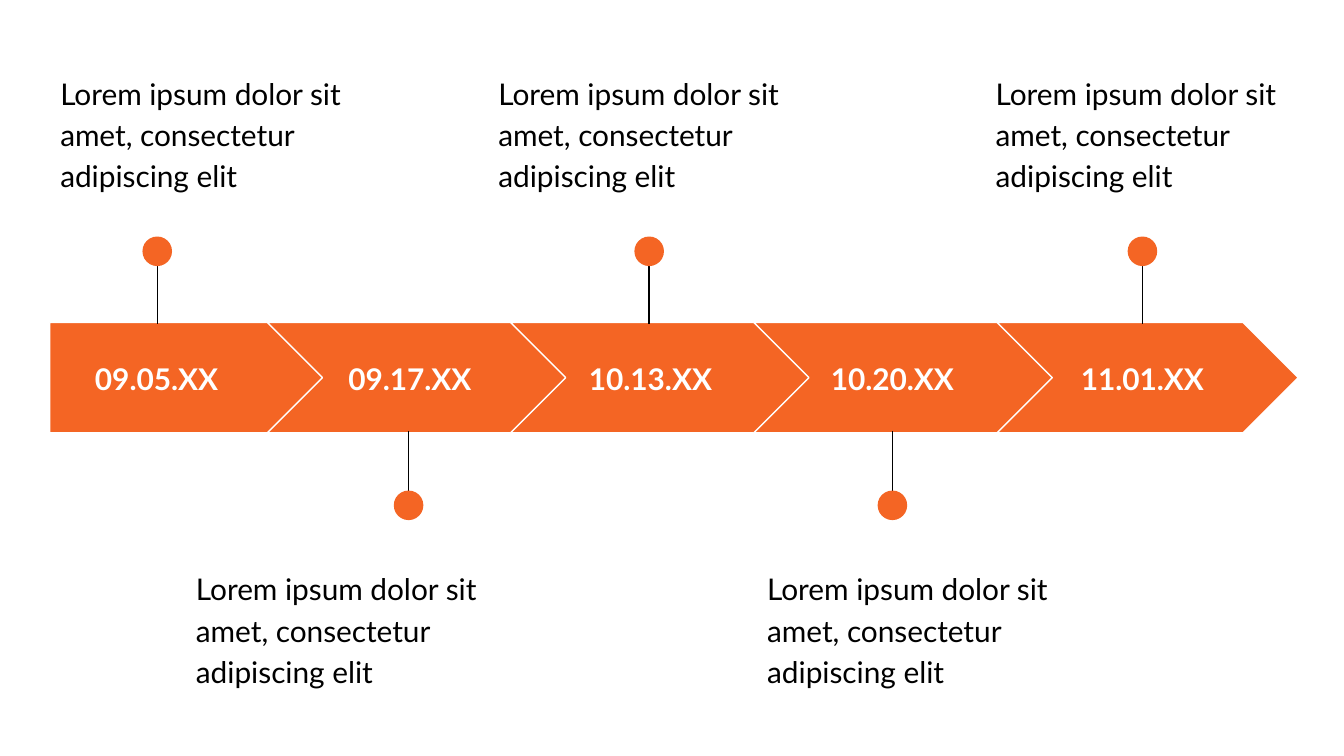
from lxml.etree import SubElement
from pptx import Presentation
from pptx.dml.color import RGBColor
from pptx.enum.shapes import MSO_CONNECTOR, MSO_SHAPE
from pptx.enum.text import MSO_ANCHOR, PP_ALIGN
from pptx.oxml.ns import qn
from pptx.util import Inches, Pt

ORANGE, WHITE, BLACK = "F46524", "FFFFFF", "000000"
CAPTION = "Lorem ipsum dolor sit amet, consectetur adipiscing elit"

BAND_TOP, BAND_HEIGHT = 2.4, 0.82
FIRST_LEFT, FIRST_WIDTH = 0.37, 2.05
CHEVRON_LEFT, CHEVRON_WIDTH, CHEVRON_STEP = 1.99, 2.24, 1.81
DOT_SIZE = 0.22

# date, left and width of the date box, pin centre, left of the caption
MILESTONES = [
    ("09.05.XX", 0.37, 1.59, 1.17, 0.35),
    ("09.17.XX", 2.33, 1.44, 3.04, 1.36),
    ("10.13.XX", 4.12, 1.44, 4.83, 3.61),
    ("10.20.XX", 5.92, 1.44, 6.64, 5.61),
    ("11.01.XX", 7.78, 1.44, 8.5, 7.31),
]

DATE_FORMAT = {"alignment": PP_ALIGN.CENTER}
CAPTION_FORMAT = {"alignment": PP_ALIGN.LEFT, "line_spacing": 1.15, "space_after": Pt(16)}

# line start, line end, top of the dot, top of the caption
ABOVE = (1.8, 2.41, 1.76, 0.42)
BELOW = (3.82, 3.21, 3.65, 4.11)


def color(hex_value):
    return RGBColor.from_string(hex_value)


def add_filled_shape(shapes, kind, left, top, width, height, outline=None):
    shape = shapes.add_shape(kind, Inches(left), Inches(top), Inches(width), Inches(height))
    shape.shadow.inherit = False
    shape.fill.solid()
    shape.fill.fore_color.rgb = color(ORANGE)
    if outline:
        shape.line.color.rgb = color(outline)
        shape.line.width = Pt(0.75)
    else:
        shape.line.fill.background()
    return shape


def add_arrow(slide, index):
    """Add one segment of the band: a pentagon first, then chevrons."""
    if index == 0:
        kind, left, width = MSO_SHAPE.PENTAGON, FIRST_LEFT, FIRST_WIDTH
    else:
        kind, width = MSO_SHAPE.CHEVRON, CHEVRON_WIDTH
        left = CHEVRON_LEFT + (index - 1) * CHEVRON_STEP
    arrow = add_filled_shape(slide.shapes, kind, left, BAND_TOP, width, BAND_HEIGHT, WHITE)
    arrow.adjustments[0] = 0.5


def add_text(slide, text, left, top, width, height, paragraph_format,
             text_color, bold=False, anchor=MSO_ANCHOR.TOP):
    box = slide.shapes.add_textbox(Inches(left), Inches(top), Inches(width), Inches(height))
    frame = box.text_frame
    frame.word_wrap = True
    frame.vertical_anchor = anchor
    for side in ("left", "top", "right", "bottom"):
        setattr(frame, f"margin_{side}", Inches(0.1))
    paragraph = frame.paragraphs[0]
    for name, value in paragraph_format.items():
        setattr(paragraph, name, value)
    run = paragraph.add_run()
    run.text = text
    for name, value in {"name": "Lato", "size": Pt(16), "bold": bold}.items():
        setattr(run.font, name, value)
    run.font.color.rgb = color(text_color)


def add_pin(slide, center, line_start, line_end, dot_top):
    """Add a grouped line and dot that tie a caption to the band."""
    pin = slide.shapes.add_group_shape()
    line = pin.shapes.add_connector(
        MSO_CONNECTOR.STRAIGHT,
        Inches(center), Inches(line_start), Inches(center), Inches(line_end))
    line.line.color.rgb = color(BLACK)
    line.line.width = Pt(0.75)
    SubElement(line._element.spPr, qn("a:effectLst"))
    add_filled_shape(pin.shapes, MSO_SHAPE.OVAL,
                     center - DOT_SIZE / 2, dot_top, DOT_SIZE, DOT_SIZE)


def add_milestone(slide, index, date, date_left, date_width, pin_center, caption_left):
    line_start, line_end, dot_top, caption_top = BELOW if index % 2 else ABOVE
    add_arrow(slide, index)
    add_text(slide, date, date_left, 2.56, date_width, 0.51, DATE_FORMAT,
             WHITE, bold=True, anchor=MSO_ANCHOR.MIDDLE)
    add_pin(slide, pin_center, line_start, line_end, dot_top)
    add_text(slide, CAPTION, caption_left, caption_top, 2.45, 0.99, CAPTION_FORMAT, BLACK)


def main():
    presentation = Presentation()
    presentation.slide_width = Inches(10)
    presentation.slide_height = Inches(10 * 9 / 16)
    blank_layout = presentation.slide_layouts[6]
    slide = presentation.slides.add_slide(blank_layout)
    for index, milestone in enumerate(MILESTONES):
        add_milestone(slide, index, *milestone)
    presentation.save("out.pptx")


if __name__ == "__main__":
    main()
